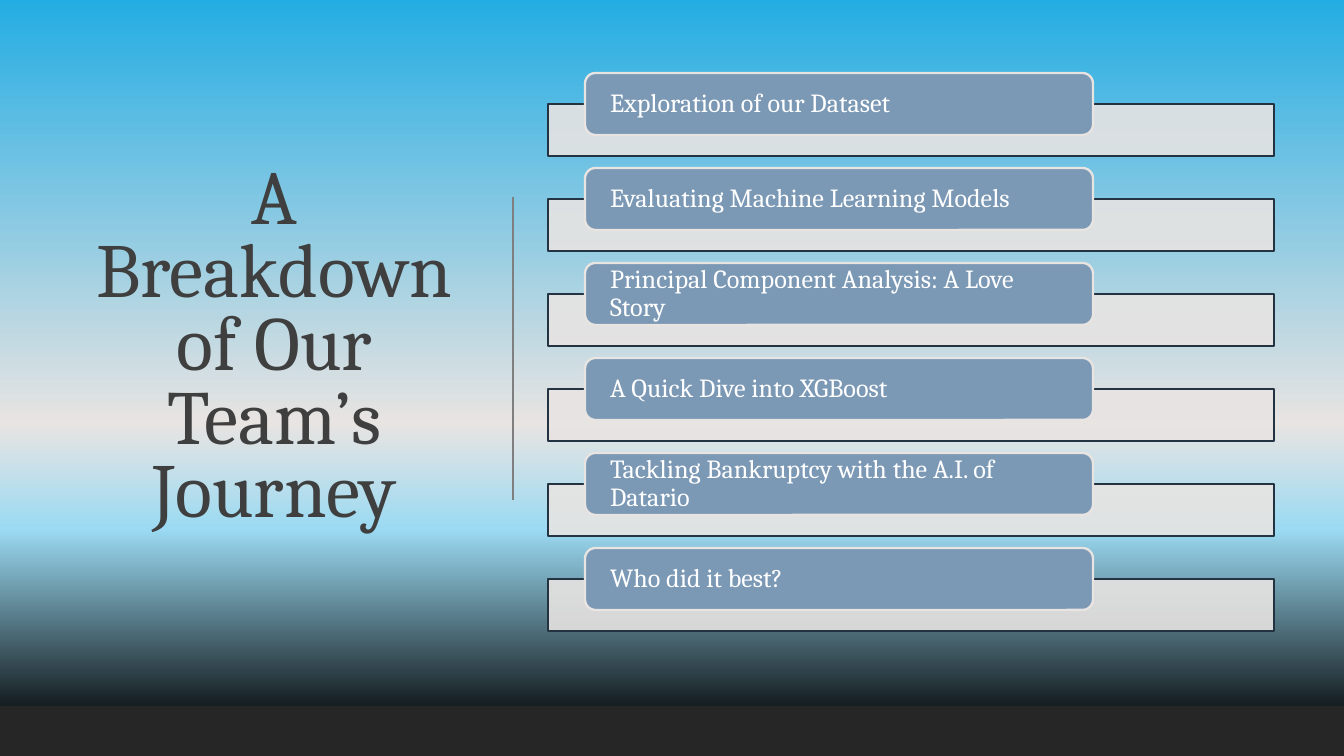
import pptx
import pptx.dml.color
import pptx.enum.shapes
import pptx.enum.text
import pptx.oxml
import pptx.oxml.ns
import pptx.util
from lxml import etree

# Content
TITLE = "A Breakdown of Our Team’s Journey"
TOPICS = [
    "Exploration of our Dataset",
    "Evaluating Machine Learning Models",
    "Principal Component Analysis: A Love Story",
    "A Quick Dive into XGBoost",
    "Tackling Bankruptcy with the A.I. of Datario",
    "Who did it best?",
]
SKY = [(0, "24ADE3"), (56, "E8E4E2"), (70, "9BDAF2"), (97, "000000"), (100, "000000")]
FONT = "Cambria"

# Layout in px
W, H = 1344, 756
BAR = (548, 104, 726, 52)
TAB = (585, 73, 508, 62)
ROW_STEP = 95

SHAPE = pptx.enum.shapes.MSO_SHAPE
qn = pptx.oxml.ns.qn


def px(n):
    return pptx.util.Emu(round(n * 914400 / 134.4))


def rgb(color):
    return pptx.dml.color.RGBColor.from_string(color)


def set_gradient(fill, root, stops):
    fill.gradient()
    fill.gradient_angle = 270
    gs_list = root.find(".//" + qn("a:gsLst"))
    for old in list(gs_list):
        gs_list.remove(old)
    for pos, color in stops:
        gs = etree.SubElement(gs_list, qn("a:gs"), pos=str(pos * 1000))
        etree.SubElement(gs, qn("a:srgbClr"), val=color)


def add_box(s, kind, box, fill=None, line=None, alpha=None):
    sp = s.shapes.add_shape(kind, *map(px, box))
    sp.shadow.inherit = False
    if fill:
        sp.fill.solid()
        sp.fill.fore_color.rgb = rgb(fill)
    if alpha:
        clr = sp.fill._xPr.find(".//" + qn("a:srgbClr"))
        etree.SubElement(clr, qn("a:alpha"), val=str(alpha * 1000))
    if line:
        sp.line.color.rgb = rgb(line)
        sp.line.width = pptx.util.Pt(1.25)
    else:
        sp.line.fill.background()
    return sp


def write(sp, text, size, color, align, spacing, inset_x, inset_y):
    tf = sp.text_frame
    tf.word_wrap = True
    tf.vertical_anchor = pptx.enum.text.MSO_ANCHOR.MIDDLE
    tf.margin_left = tf.margin_right = px(inset_x)
    tf.margin_top = tf.margin_bottom = px(inset_y)
    p = tf.paragraphs[0]
    p.alignment = align
    p.line_spacing = spacing
    r = p.add_run()
    r.text = text
    r.font.name = FONT
    r.font.size = pptx.util.Pt(size)
    r.font.color.rgb = rgb(color)


def main():
    prs = pptx.Presentation()
    prs.slide_width, prs.slide_height = px(W), px(H)
    s = prs.slides.add_slide(prs.slide_layouts[6])
    align = pptx.enum.text.PP_ALIGN

    # Sky backdrop and dark footer band
    sky = add_box(s, SHAPE.RECTANGLE, (0, 0, W, H))
    set_gradient(sky.fill, sky._element, SKY)
    add_box(s, SHAPE.RECTANGLE, (0, 706, W, 50), "262626")

    # Title and divider
    title = s.shapes.add_textbox(*map(px, (71, 70, 407, 558)))
    write(title, TITLE, 41, "3F3F3F", align.CENTER, 0.8, 10, 5)
    divider = s.shapes.add_connector(
        pptx.enum.shapes.MSO_CONNECTOR.STRAIGHT, *map(px, (513, 197, 513, 500)))
    divider.line.color.rgb = rgb("7F7F7F")
    divider.line.width = pptx.util.Pt(1)
    etree.SubElement(divider._element.spPr, qn("a:effectLst"))

    # Topic rows: a wide bar with a labelled tab over it
    for i, topic in enumerate(TOPICS):
        (bx, by, bw, bh), (tx, ty, tw, th) = BAR, TAB
        dy = i * ROW_STEP
        add_box(s, SHAPE.RECTANGLE, (bx, by + dy, bw, bh), "E8E4E2", "243341", 89)
        tab = add_box(s, SHAPE.ROUNDED_RECTANGLE, (tx, ty + dy, tw, th), "7B98B5", "E8E4E2")
        tab.adjustments[0] = 0.17
        write(tab, topic, 14, "FFFFFF", align.LEFT, 0.9, 22, 0)

    prs.save("out.pptx")


if __name__ == "__main__":
    main()
